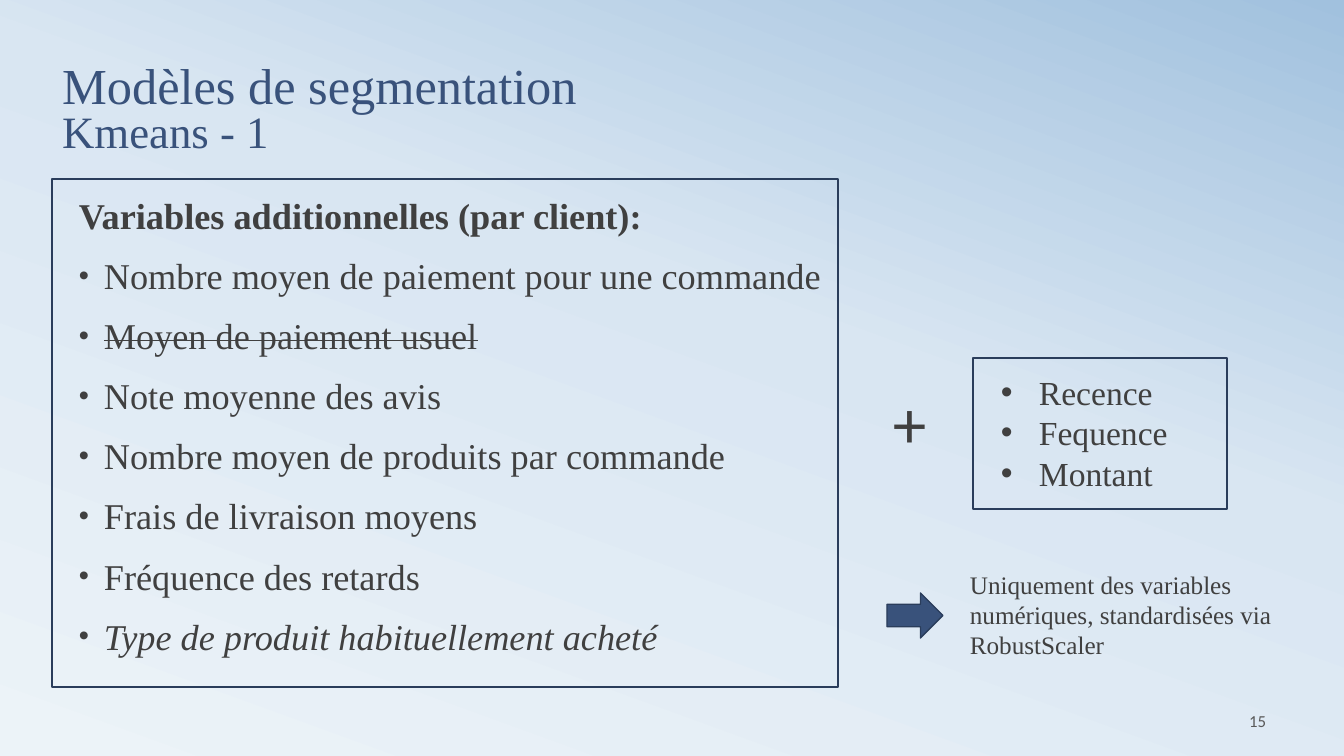
from copy import deepcopy
from lxml.etree import SubElement
from pptx import Presentation
from pptx.dml.color import RGBColor
from pptx.enum.shapes import MSO_SHAPE as SHAPE
from pptx.enum.text import MSO_ANCHOR as ANCHOR, MSO_AUTO_SIZE as AUTO, PP_ALIGN as ALIGN
from pptx.oxml.ns import qn
from pptx.util import Pt

PX = 12192000 / 1344
COLORS = {
    "title": "39527B", "text": "404040", "number": "595959", "line": "2A3D5B",
    "light": "ECF3F8", "middle": "D9E6F2", "dark": "A1C1DE",
}
SERIF, SANS = "Times New Roman", "Calibri"


def rgb(name):
    return RGBColor.from_string(COLORS[name])


def write(p, text, size, font=SERIF, color="text", indent=0, bullet_size=100, **formats):
    r = p.add_run()
    r.text = text
    r.font.color.rgb = rgb(color)
    for key, value in {"size": Pt(size), "name": font, **formats}.items():
        setattr(r.font, key, value)
    if indent:
        pPr = p._p.get_or_add_pPr()
        pPr.set("marL", str(round(indent * PX)))
        pPr.set("indent", str(round(-indent * PX)))
        bullet_color = SubElement(pPr, qn("a:buClr"))
        SubElement(bullet_color, qn("a:srgbClr"), val=COLORS[color])
        SubElement(pPr, qn("a:buSzPct"), val=str(bullet_size * 1000))
        SubElement(pPr, qn("a:buFont"), typeface="Arial")
        SubElement(pPr, qn("a:buChar"), char="•")
    return r


prs = Presentation()
prs.slide_width, prs.slide_height = round(1344 * PX), round(756 * PX)
s = prs.slides.add_slide(prs.slide_layouts[5])

fill = s.background.fill
fill.gradient()
fill.gradient_angle = 70
last = fill._fill._gradFill.gsLst[-1]
last.addprevious(deepcopy(last))
for stop, (position, color) in zip(fill.gradient_stops, [(0, "light"), (0.58, "middle"), (1, "dark")]):
    stop.position = position
    stop.color.rgb = rgb(color)

title = s.shapes.title
for key, value in {"left": 52, "top": 44, "width": 1210, "height": 118}.items():
    setattr(title, key, round(value * PX))
tf = title.text_frame
tf.vertical_anchor = ANCHOR.BOTTOM
p = tf.paragraphs[0]
p.alignment, p.line_spacing = ALIGN.LEFT, 0.8
write(p, "Modèles de segmentation", 36, color="title")
p.add_line_break()
write(p, "Kmeans - 1", 32, color="title")

frames = {}
for name, box in {
    "number": (963, 701, 313, 40),
    "variables": (69, 197, 801, 469),
    "rfm": (991, 367, 353, 132),
    "plus": (883, 376, 55, 92),
    "note": (960, 564, 384, 102),
}.items():
    tf = s.shapes.add_textbox(*[round(v * PX) for v in box]).text_frame
    tf.word_wrap, tf.auto_size = True, AUTO.NONE
    frames[name] = tf

tf = frames["number"]
tf.vertical_anchor = ANCHOR.MIDDLE
p = tf.paragraphs[0]
p.alignment = ALIGN.RIGHT
write(p, "15", 12, SANS, "number")

variables = [
    ("Variables additionnelles (par client):", {"bold": True}),
    ("Nombre moyen de paiement pour une commande", {}),
    ("Moyen de paiement usuel", {}),
    ("Note moyenne des avis", {}),
    ("Nombre moyen de produits par commande", {}),
    ("Frais de livraison moyens", {}),
    ("Fréquence des retards", {}),
    ("Type de produit habituellement acheté", {"italic": True}),
]
tf = frames["variables"]
for i, (text, formats) in enumerate(variables):
    p = tf.add_paragraph() if i else tf.paragraphs[0]
    p.line_spacing, p.space_before = 0.8, Pt(18)
    r = write(p, text, 25.9, indent=25 if i else 0, bullet_size=80, **formats)
    if text == "Moyen de paiement usuel":
        r._r.get_or_add_rPr().set("strike", "sngStrike")

tf = frames["rfm"]
for i, text in enumerate(["Recence", "Fequence", "Montant"]):
    p = tf.add_paragraph() if i else tf.paragraphs[0]
    write(p, text, 24, indent=38)

write(frames["plus"].paragraphs[0], "+", 48, SANS)
write(frames["note"].paragraphs[0],
      "Uniquement des variables numériques, standardisées via RobustScaler", 18)

for kind, box, color in [
    (SHAPE.RECTANGLE, (52, 179, 786, 508), None),
    (SHAPE.RECTANGLE, (973, 358, 254, 151), None),
    (SHAPE.RIGHT_ARROW, (887, 593, 56, 45), "title"),
]:
    sp = s.shapes.add_shape(kind, *[round(v * PX) for v in box])
    sp.shadow.inherit = False
    sp.line.color.rgb, sp.line.width = rgb("line"), Pt(1)
    if color:
        sp.fill.solid()
        sp.fill.fore_color.rgb = rgb(color)
    else:
        sp.fill.background()

prs.save("out.pptx")
